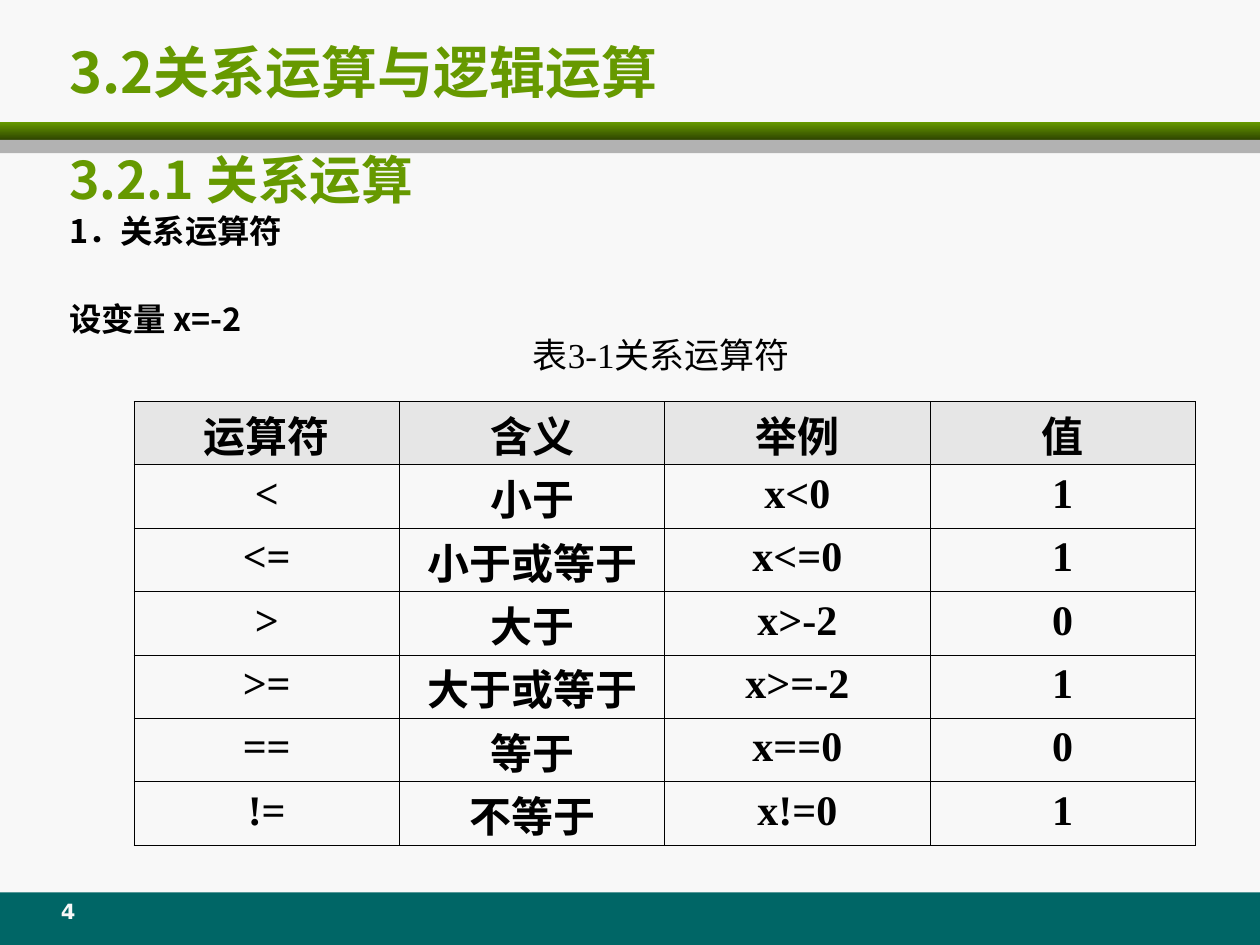
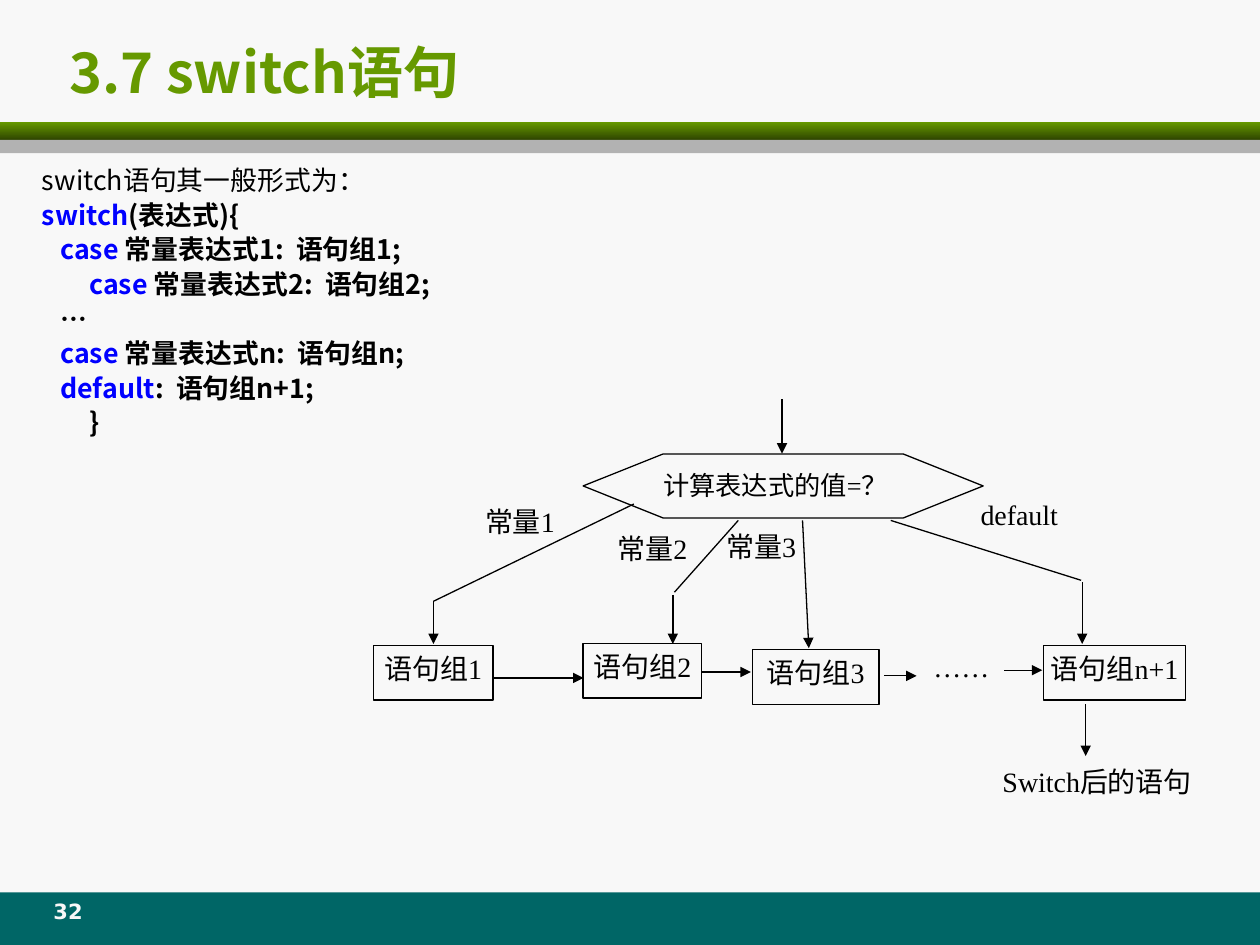
import dataclasses

import lxml.etree
import pptx
import pptx.dml.color
import pptx.enum.shapes
import pptx.enum.text
import pptx.oxml.ns
import pptx.util

Pt = pptx.util.Pt
qn = pptx.oxml.ns.qn
SHAPE = pptx.enum.shapes.MSO_SHAPE
ANCHOR = pptx.enum.text.MSO_ANCHOR
ALIGN = pptx.enum.text.PP_ALIGN


@dataclasses.dataclass(frozen=True)
class Theme:
    paper: str = "F8F8F8"
    ink: str = "000000"
    green: str = "669900"
    dark_green: str = "2F4600"
    grey: str = "B2B2B2"
    teal: str = "006666"
    header: str = "E6E6E6"
    keyword: str = "0000FF"
    sans: str = "Noto Sans CJK SC"
    display: str = "Noto Sans CJK JP"
    serif: str = "Times New Roman"
    number: str = "DejaVu Sans"
    title_size: float = 32
    heading_size: float = 29.6
    body_size: float = 18.5
    code_size: float = 15.3
    caption_size: float = 20
    cell_size: float = 24
    node_size: float = 16
    test_size: float = 15
    number_size: float = 12
    line: float = 0.75
    border: float = 0.45


T = Theme()
INSET = (7.2, 3.6, 7.2, 3.6)
NO_INSET = (0, 0, 0, 0)


def rgb(color):
    return pptx.dml.color.RGBColor.from_string(color)


def add_run(p, text, size=T.node_size, font=T.serif, color=T.ink, bold=False):
    r = p.add_run()
    r.text = text
    r.font.size = Pt(size)
    r.font.bold = bold
    r.font.name = font
    r.font.color.rgb = rgb(color)
    east_asian = T.sans if font == T.serif else font
    r.font._element.append(r.font._element.makeelement(
        qn("a:ea"), {"typeface": east_asian}))


def frame_text(tf, inset=INSET, anchor=ANCHOR.TOP):
    tf.word_wrap = True
    tf.vertical_anchor = anchor
    tf.margin_left, tf.margin_top, tf.margin_right, tf.margin_bottom = map(Pt, inset)


def add_text(s, box, text, inset=INSET, anchor=ANCHOR.TOP, align=ALIGN.LEFT, **font):
    tf = s.shapes.add_textbox(*map(Pt, box)).text_frame
    frame_text(tf, inset, anchor)
    p = tf.paragraphs[0]
    p.alignment = align
    add_run(p, text, **font)


def add_body(s, box, paragraphs):
    """Draw paragraphs given as (space before, [(text, font keywords), ...])."""
    tf = s.shapes.add_textbox(*map(Pt, box)).text_frame
    frame_text(tf)
    for i, (space, runs) in enumerate(paragraphs):
        p = tf.add_paragraph() if i else tf.paragraphs[0]
        pPr = p._p.get_or_add_pPr()
        pPr.set("marL", str(Pt(27)))
        pPr.set("indent", str(-Pt(27)))
        p.line_spacing = 0.8
        if i:
            p.space_before = Pt(space)
        for text, font in runs:
            add_run(p, text, **font)


def add_band(s, top, height, color, end_color=None):
    sp = s.shapes.add_shape(SHAPE.RECTANGLE, 0, Pt(top), Pt(720), Pt(height))
    sp.shadow.inherit = False
    sp.line.fill.background()
    if end_color:
        sp.fill.gradient()
        sp.fill.gradient_angle = 270
        for stop, c in zip(sp.fill.gradient_stops, (color, end_color)):
            stop.color.rgb = rgb(c)
    else:
        sp.fill.solid()
        sp.fill.fore_color.rgb = rgb(color)


def add_slide(prs, title, number):
    s = prs.slides.add_slide(prs.slide_layouts[6])
    s.background.fill.solid()
    s.background.fill.fore_color.rgb = rgb(T.paper)
    add_band(s, 510, 30, T.teal)
    add_band(s, 69.8, 10.1, T.green, T.dark_green)
    add_band(s, 79.9, 7.6, T.grey)
    add_text(s, (32.4, 16.6, 673, 48.2), title, anchor=ANCHOR.MIDDLE,
             size=T.title_size, font=T.display, color=T.green, bold=True)
    add_text(s, (18, 510, 41.8, 23.8), str(number), align=ALIGN.CENTER,
             size=T.number_size, font=T.number, color=T.paper, bold=True)
    return s


def add_node(s, preset, box, text, inset, align, size=T.node_size):
    sp = s.shapes.add_shape(preset, *map(Pt, box))
    sp.shadow.inherit = False
    sp.fill.background()
    sp.line.color.rgb = rgb(T.ink)
    sp.line.width = Pt(T.line)
    frame_text(sp.text_frame, inset)
    p = sp.text_frame.paragraphs[0]
    p.alignment = align
    add_run(p, text, size=size)


def add_line(s, x1, y1, x2, y2, arrow=True):
    c = s.shapes.add_connector(pptx.enum.shapes.MSO_CONNECTOR.STRAIGHT,
                               Pt(x1), Pt(y1), Pt(x2), Pt(y2))
    c.line.color.rgb = rgb(T.ink)
    c.line.width = Pt(T.line)
    if arrow:
        lxml.etree.SubElement(c.line._get_or_add_ln(), qn("a:tailEnd"), type="triangle")
    lxml.etree.SubElement(c._element.spPr, qn("a:effectLst"))


def border_cell(cell):
    tcPr = cell._tc.get_or_add_tcPr()
    for i, side in enumerate(("lnL", "lnR", "lnT", "lnB")):
        ln = tcPr.makeelement(qn("a:" + side), {"w": str(Pt(T.border))})
        fill = lxml.etree.SubElement(ln, qn("a:solidFill"))
        lxml.etree.SubElement(fill, qn("a:srgbClr"), val=T.ink)
        tcPr.insert(i, ln)


def add_grid(s, left, top, col_width, row_height, rows):
    table = s.shapes.add_table(len(rows), len(rows[0]), Pt(left), Pt(top),
                               Pt(col_width * len(rows[0])),
                               Pt(row_height * len(rows))).table
    table.first_row = table.horz_banding = False
    for col in table.columns:
        col.width = Pt(col_width)
    for i, values in enumerate(rows):
        table.rows[i].height = Pt(row_height)
        for j, value in enumerate(values):
            cell = table.cell(i, j)
            chinese = i == 0 or j == 1
            # The tall Chinese line fits its row only with small insets.
            cell.margin_top = Pt(1.4 if chinese else 3.6)
            cell.margin_bottom = Pt(0 if chinese else 3.6)
            if i == 0:
                cell.fill.solid()
                cell.fill.fore_color.rgb = rgb(T.header)
            else:
                cell.fill.background()
            border_cell(cell)
            p = cell.text_frame.paragraphs[0]
            p.alignment = ALIGN.CENTER
            add_run(p, value, size=T.cell_size, bold=True,
                    font=T.sans if chinese else T.serif)


def build_operators(prs):
    s = add_slide(prs, "3.2关系运算与逻辑运算", 4)
    heading = dict(size=T.heading_size, font=T.display, color=T.green, bold=True)
    body = dict(size=T.body_size, font=T.sans, bold=True)
    add_body(s, (32.4, 87.8, 673, 126), [
        (0, [("3.2.1 关系运算", heading)]),
        (5, [("1．关系运算符", body)]),
        (32.9, [("设变量 x=-2", body)]),
    ])
    add_text(s, (297.4, 186.5, 209.5, 31.7), "表3-1关系运算符",
             anchor=ANCHOR.MIDDLE, size=T.caption_size)
    add_grid(s, 76.6, 229.4, 151.65, 36.2, [
        ("运算符", "含义", "举例", "值"),
        ("<", "小于", "x<0", "1"),
        ("<=", "小于或等于", "x<=0", "1"),
        (">", "大于", "x>-2", "0"),
        (">=", "大于或等于", "x>=-2", "1"),
        ("==", "等于", "x==0", "0"),
        ("!=", "不等于", "x!=0", "1"),
    ])


def add_switch_syntax(s):
    plain = dict(size=T.code_size, font=T.sans)
    code = dict(plain, bold=True)
    key = dict(code, color=T.keyword)
    lines = [
        [("switch语句其一般形式为：", plain)],
        [("switch", key), ("(表达式){", code)],
        [("   case ", key), ("常量表达式1:  语句组1;", code)],
        [("\tcase ", key), ("常量表达式2:  语句组2;", code)],
        [("   …", code)],
        [("   case ", key), ("常量表达式n:  语句组n;", code)],
        [("   default", key), (":  语句组n+1;", code)],
        [("\t}", code)],
    ]
    add_body(s, (16.9, 93.6, 304.6, 226.8), [(5.1, runs) for runs in lines])


def add_switch_flow(s):
    add_node(s, SHAPE.FLOWCHART_PREPARATION, (333.2, 259.4, 228.6, 36.6),
             "计算表达式的值=？", (0, 8.6, 0, 0), ALIGN.JUSTIFY, T.test_size)
    for name, left, top, width in (("1", 213.5, 368.8, 68.2), ("2", 333.2, 367.7, 67.8),
                                   ("3", 430, 371.2, 72.3), ("n+1", 596.2, 368.8, 81.4)):
        add_node(s, SHAPE.FLOWCHART_PROCESS, (left, top, width, 31.2),
                 "语句组" + name, (0, 3.6, 0, 3.6), ALIGN.CENTER)

    for text, box in (("常量1", (277.2, 288.6, 40.3, 20)),
                      ("常量2", (352.8, 303.6, 42.2, 18)),
                      ("常量3", (415, 302.5, 41.6, 19.4)),
                      ("default", (560.3, 284.6, 56.9, 24.5))):
        add_text(s, box, text, inset=NO_INSET, align=ALIGN.JUSTIFY)
    add_text(s, (526.3, 367.9, 46.8, 28.8), "……", align=ALIGN.JUSTIFY)
    add_text(s, (565.8, 433.4, 139.7, 33.1), "Switch后的语句", align=ALIGN.JUSTIFY)

    branches = [(362.2, 288, 247.7, 343.6), (421.9, 297.4, 385.4, 338.4),
                (509, 297.4, 617.8, 331.6)]
    for branch in branches:
        add_line(s, *branch, arrow=False)
    down_arrows = [(446.9, 228.2, 259.2), (247.7, 343.6, 368), (384.5, 340, 368),
                   (618.4, 332.6, 368), (620.4, 402.4, 432)]
    for x, top, bottom in down_arrows:
        add_line(s, x, top, x, bottom)
    add_line(s, 458.6, 297.4, 462.2, 370.4)
    for y, start, end in ((387.4, 281.7, 333.4), (384, 401, 429.1),
                          (386.2, 505.2, 523.8), (383, 573.8, 595.6)):
        add_line(s, start, y, end, y)


def build_switch(prs):
    s = add_slide(prs, "3.7 switch语句", 32)
    add_switch_syntax(s)
    add_switch_flow(s)


def main():
    prs = pptx.Presentation()
    prs.slide_width, prs.slide_height = Pt(720), Pt(540)
    build_operators(prs)
    build_switch(prs)
    prs.save("out.pptx")


if __name__ == "__main__":
    main()
